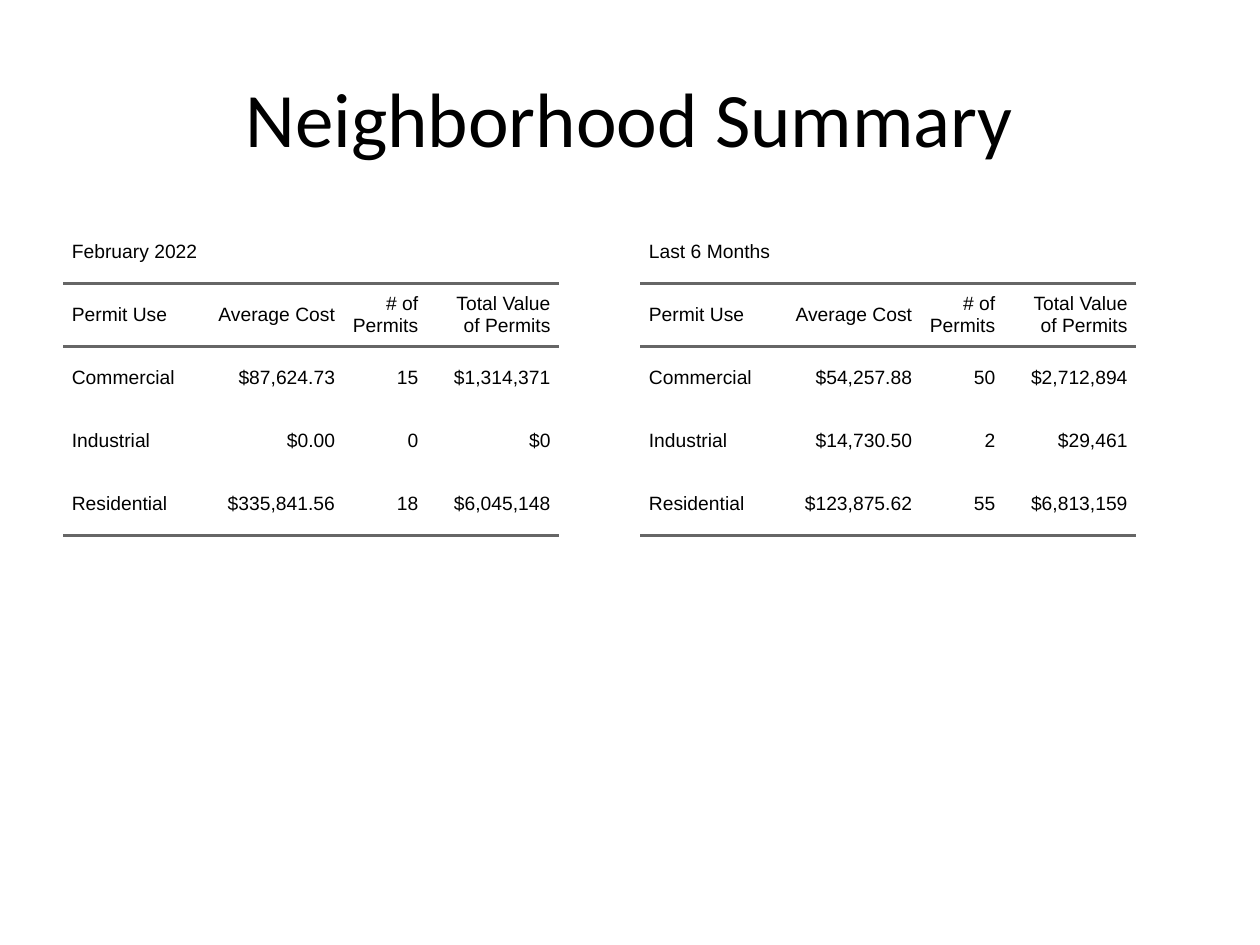
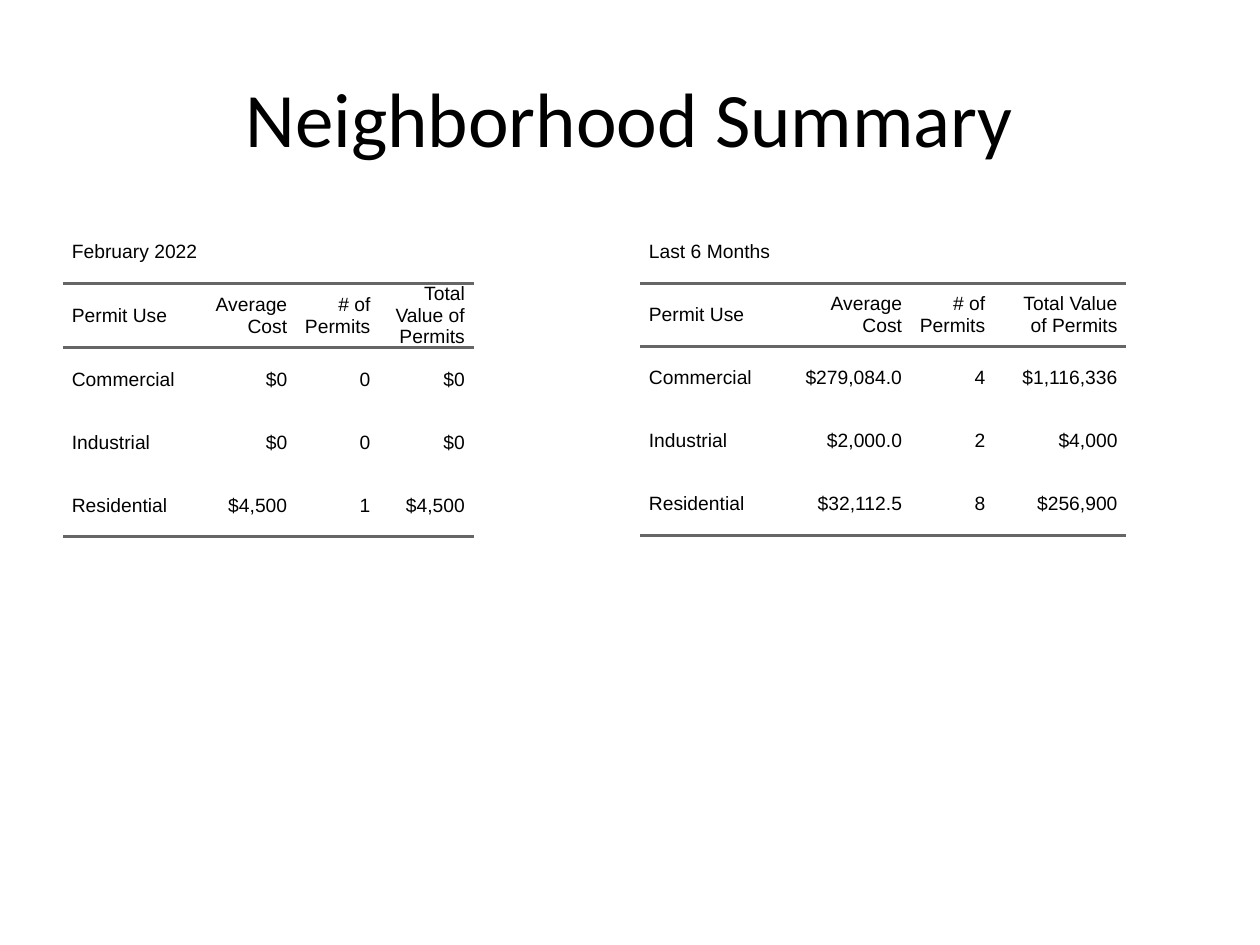
import pptx
import pptx.dml.color
import pptx.enum.text
import pptx.oxml
import pptx.oxml.ns
import pptx.util
from pptx.util import Inches

TITLE = "Neighborhood Summary"
HEADINGS = ("Permit Use", "Average Cost", "# of Permits", "Total Value of Permits")
USES = ("Commercial", "Industrial", "Residential")

SUMMARIES = [
    [
        {
            "period": "February 2022",
            "widths": (1.1, 1.13, 0.66, 1.05),
            "figures": [
                ("$87,624.73", "15", "$1,314,371"),
                ("$0.00", "0", "$0"),
                ("$335,841.56", "18", "$6,045,148"),
            ],
        },
        {
            "period": "Last 6 Months",
            "widths": (1.1, 1.13, 0.66, 1.05),
            "figures": [
                ("$54,257.88", "50", "$2,712,894"),
                ("$14,730.50", "2", "$29,461"),
                ("$123,875.62", "55", "$6,813,159"),
            ],
        },
    ],
    [
        {
            "period": "February 2022",
            "widths": (1.1, 0.75, 0.66, 0.75),
            "figures": [
                ("$0", "0", "$0"),
                ("$0", "0", "$0"),
                ("$4,500", "1", "$4,500"),
            ],
        },
        {
            "period": "Last 6 Months",
            "widths": (1.1, 1.05, 0.66, 1.05),
            "figures": [
                ("$279,084.0", "4", "$1,116,336"),
                ("$2,000.0", "2", "$4,000"),
                ("$32,112.5", "8", "$256,900"),
            ],
        },
    ],
]

BLACK = pptx.dml.color.RGBColor(0x00, 0x00, 0x00)
RULE_GREY = pptx.dml.color.RGBColor(0x66, 0x66, 0x66)
PLAIN_STYLE = "{2D5ABB26-0587-4C30-8999-92F81FD0307C}"

MARGIN = 0.5
HALF_WIDTH = 4.42
HALF_STEP = 9 - HALF_WIDTH
TABLE_TOP = 1.75
TABLE_HEIGHT = 4.95
ROW_HEIGHT = 0.5
CELL_INDENT = Inches(0.07)
RULE_WIDTH = pptx.util.Pt(2)


def style_text(paragraph, font_name, size, alignment):
    paragraph.alignment = alignment
    paragraph.font.name = font_name
    paragraph.font.size = pptx.util.Pt(size)
    paragraph.font.color.rgb = BLACK


def rule_cell(cell, sides):
    properties = cell._tc.get_or_add_tcPr()
    for position, side in enumerate(sides):
        properties.insert(position, pptx.oxml.parse_xml(
            f'<a:ln{side} {pptx.oxml.ns.nsdecls("a")} w="{RULE_WIDTH}">'
            f'<a:solidFill><a:srgbClr val="{RULE_GREY}"/></a:solidFill>'
            f'</a:ln{side}>'))


def fill_cell(cell, text, alignment, rules):
    cell.margin_left = cell.margin_right = cell.margin_top = cell.margin_bottom = 0
    cell.vertical_anchor = pptx.enum.text.MSO_ANCHOR.MIDDLE
    cell.fill.background()
    rule_cell(cell, rules)
    cell.text = text
    paragraph = cell.text_frame.paragraphs[0]
    indents = paragraph._p.get_or_add_pPr()
    for edge in ("marL", "marR"):
        indents.set(edge, str(CELL_INDENT))
    style_text(paragraph, "Arial", 11, alignment)


def add_summary(slide, summary, left):
    rows = [HEADINGS] + [(use, *figures) for use, figures in zip(USES, summary["figures"])]
    frame = slide.shapes.add_table(
        len(rows) + 1, len(HEADINGS), Inches(left), Inches(TABLE_TOP),
        Inches(HALF_WIDTH), Inches(TABLE_HEIGHT))
    table = frame.table
    table.first_row = table.horz_banding = False
    table._tbl.tblPr.find(pptx.oxml.ns.qn("a:tableStyleId")).text = PLAIN_STYLE
    for column, width in zip(table.columns, summary["widths"]):
        column.width = Inches(width)
    for row in table.rows:
        row.height = Inches(ROW_HEIGHT)
    frame.width, frame.height = Inches(HALF_WIDTH), Inches(TABLE_HEIGHT)

    align = pptx.enum.text.PP_ALIGN
    period = table.cell(0, 0)
    period.merge(table.cell(0, len(HEADINGS) - 1))
    fill_cell(period, summary["period"], align.LEFT, "")
    rules = {1: "TB", len(rows): "B"}
    for row_number, values in enumerate(rows, start=1):
        for column_number, value in enumerate(values):
            fill_cell(table.cell(row_number, column_number), value,
                      align.RIGHT if column_number else align.LEFT,
                      rules.get(row_number, ""))


def add_summary_slide(deck, summaries):
    slide = deck.slides.add_slide(deck.slide_layouts[5])
    title = slide.shapes.title
    title.left, title.top = Inches(MARGIN), Inches(0.3)
    title.width, title.height = Inches(9), Inches(1.25)
    title.text = TITLE
    title.text_frame.vertical_anchor = pptx.enum.text.MSO_ANCHOR.MIDDLE
    style_text(title.text_frame.paragraphs[0], "Calibri", 44,
               pptx.enum.text.PP_ALIGN.CENTER)
    for number, summary in enumerate(summaries):
        add_summary(slide, summary, MARGIN + number * HALF_STEP)


def main():
    deck = pptx.Presentation()
    deck.slide_width, deck.slide_height = Inches(10), Inches(7.5)
    for summaries in SUMMARIES:
        add_summary_slide(deck, summaries)
    deck.save("out.pptx")


if __name__ == "__main__":
    main()
